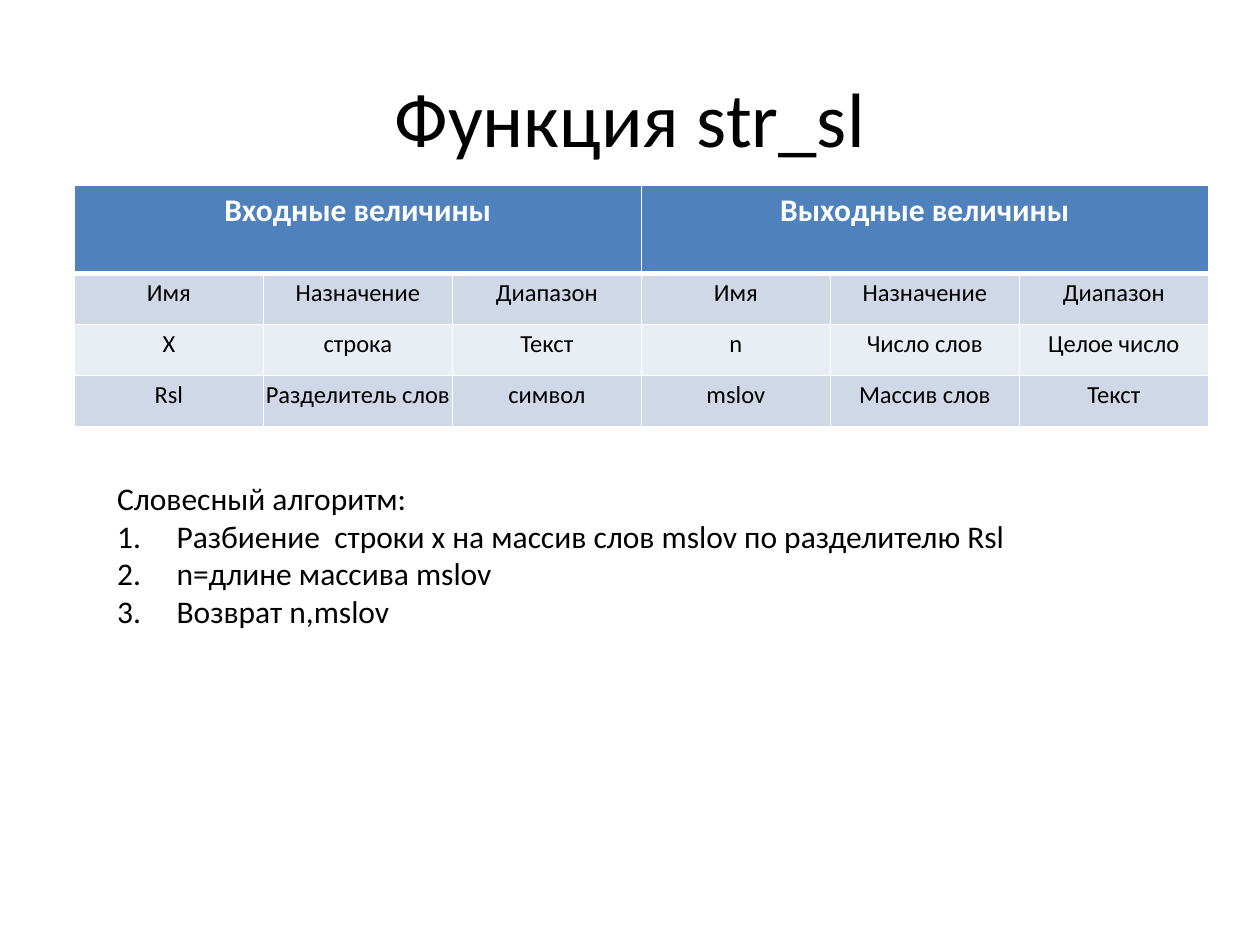
from lxml.etree import SubElement
from pptx import Presentation
from pptx.dml.color import RGBColor
from pptx.enum.text import MSO_ANCHOR as Anchor, MSO_AUTO_SIZE as AutoSize, PP_ALIGN as Align
from pptx.oxml.ns import qn
from pptx.util import Pt

FONT = "Calibri"
COLORS = {"text": "000000", "white": "FFFFFF", "header": "4F81BD",
          "band_dark": "D0D8E8", "band_light": "E9EDF4"}
HEADERS = ["Входные величины", "Выходные величины"]
ROWS = [
    ["Имя", "Назначение", "Диапазон"] * 2,
    ["X", "строка", "Текст", "n", "Число слов", "Целое число"],
    ["Rsl", "Разделитель слов", "символ", "mslov", "Массив слов", "Текст"],
]
STEPS = [
    "Разбиение  строки x на массив слов mslov по разделителю Rsl",
    "n=длине массива mslov",
    "Возврат n,mslov",
]
HEADER_H = 50.4
CELL_FORMAT = {"margin_left": Pt(0.7), "margin_right": Pt(0.7),
               "margin_top": 0, "margin_bottom": 0}
CELL_PARAGRAPH = {"line_spacing": 1.15, "space_after": Pt(10)}


def apply(obj, values):
    for name, value in values.items():
        setattr(obj, name, value)


def place(sp, box):
    apply(sp, dict(zip(("left", "top", "width", "height"), map(Pt, box))))


def write(p, text, size, color="text", bold=False, align=Align.LEFT):
    p.alignment = align
    r = p.add_run()
    r.text = text
    apply(r.font, {"name": FONT, "size": Pt(size), "bold": bold})
    r.font.color.rgb = RGBColor.from_string(COLORS[color])


def set_borders(cell, bottom=1):
    tc_pr = cell._tc.get_or_add_tcPr()
    for side, width in {"L": 1, "R": 1, "T": 1, "B": bottom}.items():
        ln = SubElement(tc_pr, qn(f"a:ln{side}"), w=str(Pt(width)))
        fill = SubElement(ln, qn("a:solidFill"))
        SubElement(fill, qn("a:srgbClr"), val=COLORS["white"])


def paint(cell, color):
    cell.fill.solid()
    cell.fill.fore_color.rgb = RGBColor.from_string(COLORS[color])


def add_title(s, box):
    sp = s.shapes.title
    place(sp, box)
    tf = sp.text_frame
    tf.vertical_anchor = Anchor.MIDDLE
    write(tf.paragraphs[0], "Функция str_sl", 44, align=Align.CENTER)


def add_values_table(s, box):
    cols = len(ROWS[0])
    span = cols // len(HEADERS)
    table = s.shapes.add_table(len(ROWS) + 1, cols, *map(Pt, box)).table
    for col in table.columns:
        col.width = Pt(box[2] / cols)
    for row in table.rows:
        row.height = Pt((box[3] - HEADER_H) / len(ROWS))
    table.rows[0].height = Pt(HEADER_H)

    for c in range(cols):
        set_borders(table.cell(0, c), bottom=3)
        paint(table.cell(0, c), "header")
    for i, text in enumerate(HEADERS):
        cell = table.cell(0, i * span)
        cell.merge(table.cell(0, (i + 1) * span - 1))
        write(cell.text_frame.paragraphs[0], text, 18, "white", True, Align.CENTER)

    for r, texts in enumerate(ROWS, 1):
        for c, text in enumerate(texts):
            cell = table.cell(r, c)
            apply(cell, CELL_FORMAT)
            set_borders(cell)
            paint(cell, "band_dark" if r % 2 else "band_light")
            p = cell.text_frame.paragraphs[0]
            write(p, text, 14, align=Align.CENTER)
            apply(p, CELL_PARAGRAPH)


def add_algorithm(s, box):
    tf = s.shapes.add_textbox(*map(Pt, box)).text_frame
    apply(tf, {"word_wrap": True, "auto_size": AutoSize.SHAPE_TO_FIT_TEXT})
    write(tf.paragraphs[0], "Словесный алгоритм:", 18)
    for step in STEPS:
        p = tf.add_paragraph()
        write(p, step, 18)
        p_pr = p._p.get_or_add_pPr()
        p_pr.set("marL", str(Pt(34)))
        p_pr.set("indent", str(Pt(-34)))
        SubElement(p_pr, qn("a:buFont"), typeface=FONT)
        SubElement(p_pr, qn("a:buAutoNum"), type="arabicPeriod")


def main():
    prs = Presentation()
    apply(prs, {"slide_width": Pt(720), "slide_height": Pt(540)})
    s = prs.slides.add_slide(prs.slide_layouts[5])
    add_title(s, (36, 21.6, 648, 90))
    add_values_table(s, (42.5, 105.8, 648, 138.2))
    add_algorithm(s, (59.8, 270, 754, 94.3))
    prs.save("out.pptx")


if __name__ == "__main__":
    main()
